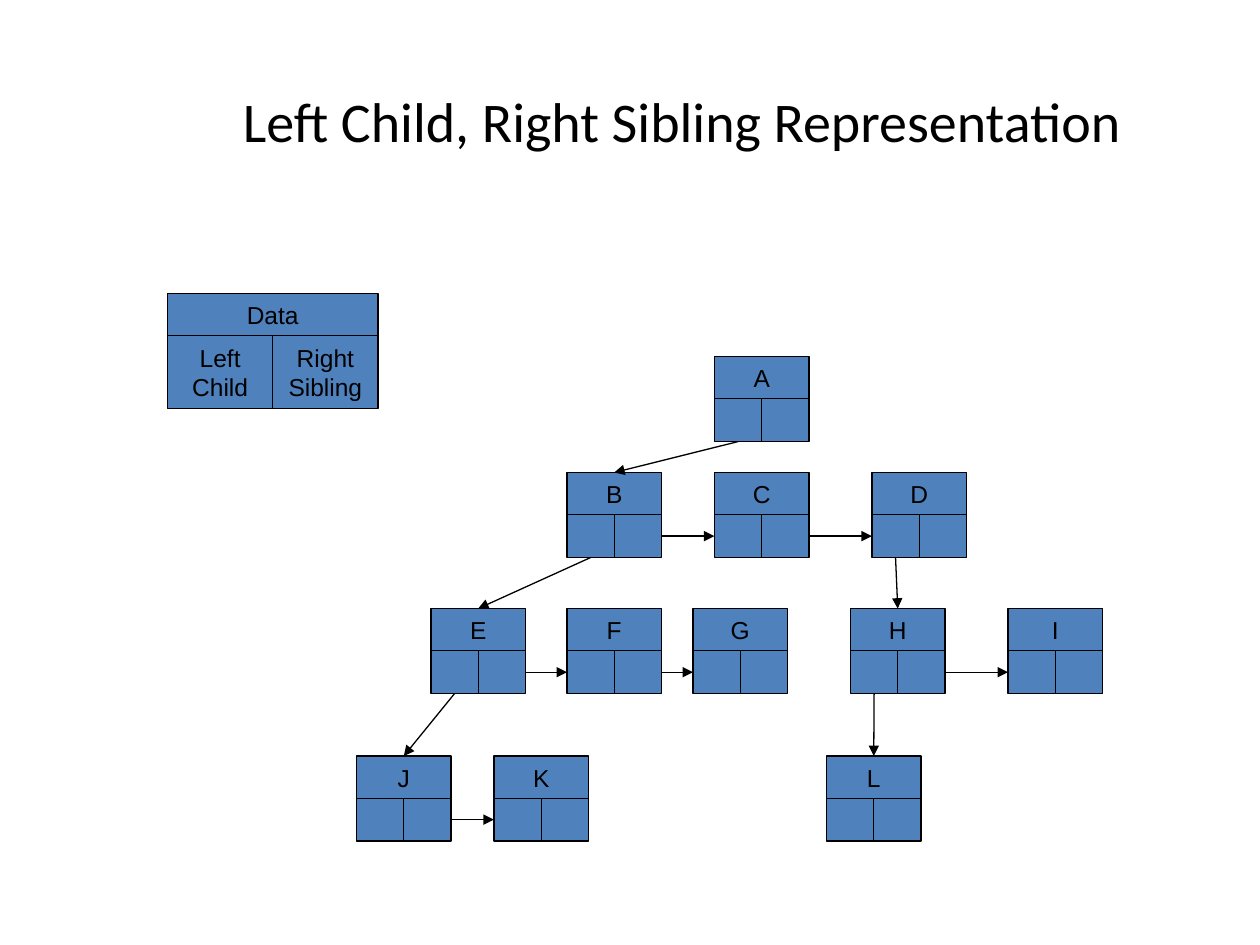
"""Build a slide showing a tree in left-child, right-sibling form."""
from pptx import Presentation
from pptx.dml.color import RGBColor
from pptx.enum.shapes import MSO_CONNECTOR, MSO_SHAPE
from pptx.enum.text import MSO_ANCHOR, MSO_AUTO_SIZE, PP_ALIGN
from pptx.oxml.ns import qn
from pptx.util import Inches, Pt
from lxml import etree

RECTANGLE = MSO_SHAPE.RECTANGLE
STRAIGHT = MSO_CONNECTOR.STRAIGHT
CENTER, MIDDLE = PP_ALIGN.CENTER, MSO_ANCHOR.MIDDLE
GROW = MSO_AUTO_SIZE.SHAPE_TO_FIT_TEXT
TOP, LEFT, BOTTOM, RIGHT = range(4)

TITLE = "Left Child, Right Sibling Representation"
BLACK, BLUE = "000000", "4F81BD"
TITLE_FONT = {"name": "Calibri", "size": Pt(32)}
NODE_FONT = {"name": "Arial", "size": Pt(14)}

LEGEND = ("Data", "Left Child", "Right Sibling")
LEGEND_SIZE = (1.33, 2.33, 1.67, 0.58)
NODE_WIDTH, CELL_HEIGHT, CELL_OFFSET = 0.75, 0.34, 0.335

# Each level: its top, then the left edge of every node.
LEVELS = [
    (2.83, {"A": 5.67}),
    (3.75, {"B": 4.5, "C": 5.67, "D": 6.92}),
    (4.83, {"E": 3.42, "F": 4.5, "G": 5.5, "H": 6.75, "I": 8}),
    (6, {"J": 2.83, "K": 3.92, "L": 6.56}),
]
LEFT_CHILDREN = ["AB", "BE", "EJ", "DH", "HL"]
RIGHT_SIBLINGS = ["BC", "CD", "EF", "FG", "HI", "JK"]


def color(value):
    return RGBColor.from_string(value)


def write(frame, text, font):
    frame.word_wrap = True
    frame.vertical_anchor = MIDDLE
    para = frame.paragraphs[0]
    para.alignment = CENTER
    span = para.add_run()
    span.text = text
    for name, value in font.items():
        setattr(span.font, name, value)
    span.font.color.rgb = color(BLACK)


def set_line(line):
    line.color.rgb = color(BLACK)
    line.width = Pt(0.75)


def add_cell(group, text, *bounds):
    box = group.shapes.add_shape(RECTANGLE, *map(Inches, bounds))
    box.shadow.inherit = False
    box.fill.solid()
    box.fill.fore_color.rgb = color(BLUE)
    set_line(box.line)
    if text:
        write(box.text_frame, text, NODE_FONT)
        box.text_frame.auto_size = GROW
    return box


def add_node(page, labels, left, top, width, link_height):
    group = page.shapes.add_group_shape()
    half, link_top = width / 2, top + CELL_OFFSET
    data, child, sibling = labels
    return {
        "data": add_cell(group, data, left, top, width, CELL_HEIGHT),
        "child": add_cell(group, child, left, link_top, half, link_height),
        "sibling": add_cell(group, sibling, left + half, link_top, half, link_height),
    }


def add_arrow(page, source, source_side, target, target_side):
    arrow = page.shapes.add_connector(STRAIGHT, 0, 0, 0, 0)
    arrow.begin_connect(source, source_side)
    arrow.end_connect(target, target_side)
    set_line(arrow.line)
    properties = arrow.line._get_or_add_ln()
    etree.SubElement(properties, qn("a:tailEnd"), type="triangle")
    etree.SubElement(arrow._element.spPr, qn("a:effectLst"))


def main():
    deck = Presentation()
    deck.slide_width, deck.slide_height = Inches(10), Inches(7.5)
    page = deck.slides.add_slide(deck.slide_layouts[5])

    title = page.shapes.title
    bounds = {"left": 0.83, "top": 0.33, "width": 9.17, "height": 1.25}
    for name, value in bounds.items():
        setattr(title, name, Inches(value))
    write(title.text_frame, TITLE, TITLE_FONT)

    add_node(page, LEGEND, *LEGEND_SIZE)
    nodes = {
        name: add_node(page, (name, "", ""), left, top, NODE_WIDTH, CELL_HEIGHT)
        for top, level in LEVELS
        for name, left in level.items()
    }
    for parent, child in LEFT_CHILDREN:
        add_arrow(page, nodes[parent]["child"], BOTTOM, nodes[child]["data"], TOP)
    for node, sibling in RIGHT_SIBLINGS:
        add_arrow(page, nodes[node]["sibling"], RIGHT, nodes[sibling]["child"], LEFT)

    deck.save("out.pptx")


if __name__ == "__main__":
    main()
